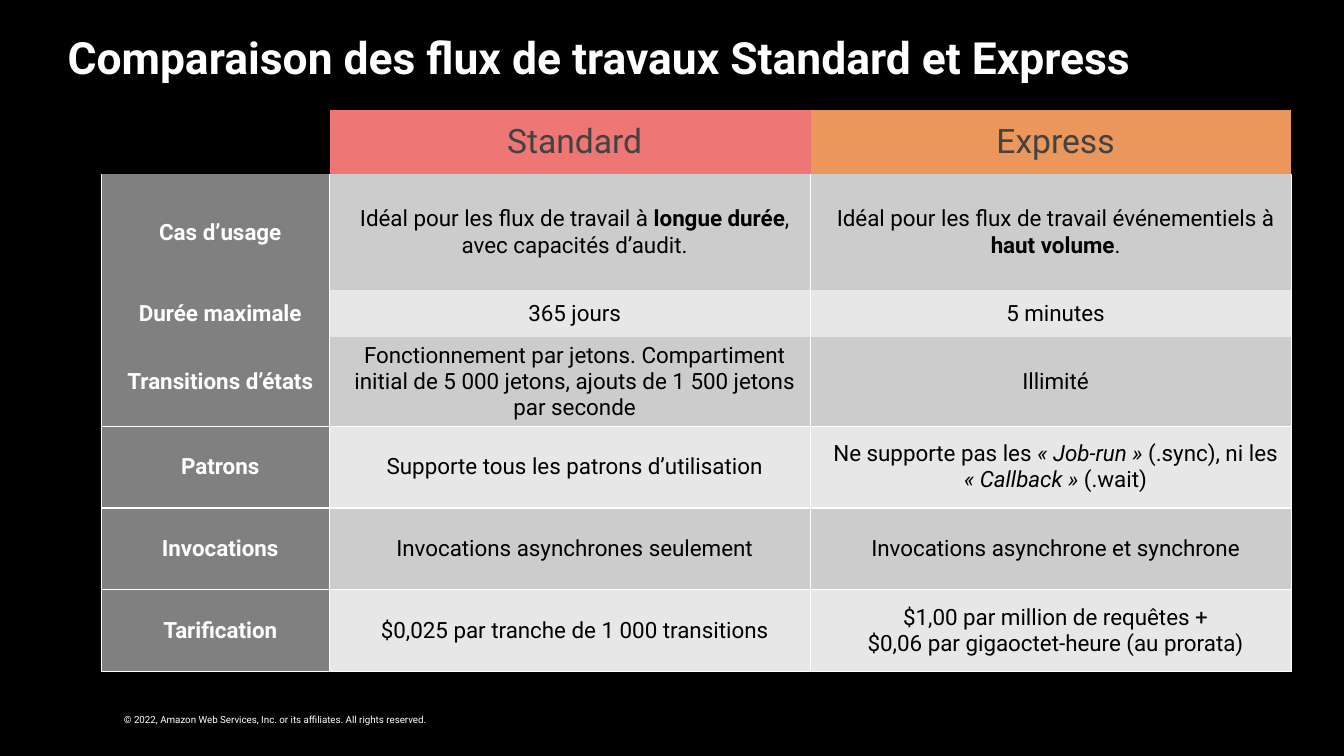
import pptx
import pptx.dml.color
import pptx.enum.text
import pptx.util
from lxml import etree
from pptx.util import Inches

WHITE, GRAY = "FFFFFF", "808080"
HEADERS = [("Standard", "EE7674"), ("Express", "EB975C")]
# Label, Standard, Express, row height, emphasis given to text between asterisks
ROWS = [
    ("Cas d’usage", "Idéal pour les flux de travail à *longue durée*, avec capacités d’audit.",
     "Idéal pour les flux de travail événementiels à *haut volume*.", 1.15, "bold"),
    ("Durée maximale", "365 jours", "5 minutes", 0.46, "bold"),
    ("Transitions d’états",
     "Fonctionnement par jetons. Compartiment initial de 5 000 jetons, ajouts de 1 500 jetons par seconde",
     "Illimité", 0.89, "bold"),
    ("Patrons", "Supporte tous les patrons d’utilisation",
     "Ne supporte pas les *« Job-run »* (.sync), ni les *« Callback »* (.wait)", 0.81, "italic"),
    ("Invocations", "Invocations asynchrones seulement",
     "Invocations asynchrone et synchrone", 0.81, "bold"),
    ("Tarification", "$0,025 par tranche de 1 000 transitions",
     "$1,00 par million de requêtes +\n$0,06 par gigaoctet-heure (au prorata)", 0.81, "bold"),
]


def write(frame, text, size, color, bold=False, emphasis="bold", align=None):
    """Fill a text frame: newlines part paragraphs, asterisks enclose emphasis."""
    frame.word_wrap = True
    for number, line in enumerate(text.split("\n")):
        para = frame.add_paragraph() if number else frame.paragraphs[0]
        para.alignment = align
        for index, piece in enumerate(line.split("*")):
            span = para.add_run()
            span.text = piece
            span.font.name = "Roboto"
            span.font.size = pptx.util.Pt(size)
            span.font.color.rgb = pptx.dml.color.RGBColor.from_string(color)
            span.font.bold = bold
            if index % 2:
                setattr(span.font, emphasis, True)


def style_cell(cell, fill, sides):
    """Set fill and margins, with white borders on the named sides only."""
    properties = cell._tc.get_or_add_tcPr()
    for side in "LRTB":
        line = etree.SubElement(properties, pptx.oxml.ns.qn("a:ln" + side), w="12700")
        if side in sides:
            paint = etree.SubElement(line, pptx.oxml.ns.qn("a:solidFill"))
            etree.SubElement(paint, pptx.oxml.ns.qn("a:srgbClr"), val=WHITE)
        else:
            etree.SubElement(line, pptx.oxml.ns.qn("a:noFill"))
    if fill:
        cell.fill.solid()
        cell.fill.fore_color.rgb = pptx.dml.color.RGBColor.from_string(fill)
    else:
        cell.fill.background()
    cell.margin_left, cell.margin_right = Inches(0.17), Inches(0.08)
    cell.margin_top = cell.margin_bottom = Inches(0.04)
    cell.vertical_anchor = pptx.enum.text.MSO_ANCHOR.MIDDLE


deck = pptx.Presentation()
deck.slide_width, deck.slide_height = Inches(13.33), Inches(7.5)
page = deck.slides.add_slide(deck.slide_layouts[6])
page.background.fill.solid()
page.background.fill.fore_color.rgb = pptx.dml.color.RGBColor.from_string("000000")

copyright_box = page.shapes.add_textbox(Inches(1.23), Inches(7.08), Inches(4.33), Inches(0.12))
title_box = page.shapes.add_textbox(Inches(0.5), Inches(0.17), Inches(12.31), Inches(0.8))
for box, horizontal, vertical in [(copyright_box, 0, 0), (title_box, 0.17, 0.13)]:
    frame = box.text_frame
    frame.margin_left = frame.margin_right = Inches(horizontal)
    frame.margin_top = frame.margin_bottom = Inches(vertical)
write(copyright_box.text_frame,
      "© 2022, Amazon Web Services, Inc. or its affiliates. All rights reserved.", 7, WHITE)
write(title_box.text_frame, "Comparaison des flux de travaux Standard et Express",
      31.7, WHITE, bold=True)

center = pptx.enum.text.PP_ALIGN.CENTER
heights = [0.64] + [row[3] for row in ROWS]
table_frame = page.shapes.add_table(len(heights), 3, Inches(1.01), Inches(1.09),
                                    Inches(11.8), Inches(sum(heights)))
table = table_frame.table
table.first_row = table.horz_banding = False
for column, width in zip(table.columns, [2.26, 4.77, 4.77]):
    column.width = Inches(width)
for table_row, height in zip(table.rows, heights):
    table_row.height = Inches(height)

style_cell(table.cell(0, 0), None, "")
for column, (name, fill) in enumerate(HEADERS, start=1):
    style_cell(table.cell(0, column), fill, "")
    write(table.cell(0, column).text_frame, name, 24, "424242", align=center)

for row, (label, standard, express, height, emphasis) in enumerate(ROWS, start=1):
    band = "CCCCCC" if row % 2 else "E7E7E7"
    sides = "LR" + ("T" if row > 3 else "") + ("B" if row >= 3 else "")
    for column, text in enumerate([label, standard, express]):
        is_label = column == 0
        cell = table.cell(row, column)
        style_cell(cell, GRAY if is_label else band, sides)
        write(cell.text_frame, text, 16, WHITE if is_label else "000000",
              bold=is_label, emphasis=emphasis, align=center)

deck.save("out.pptx")
